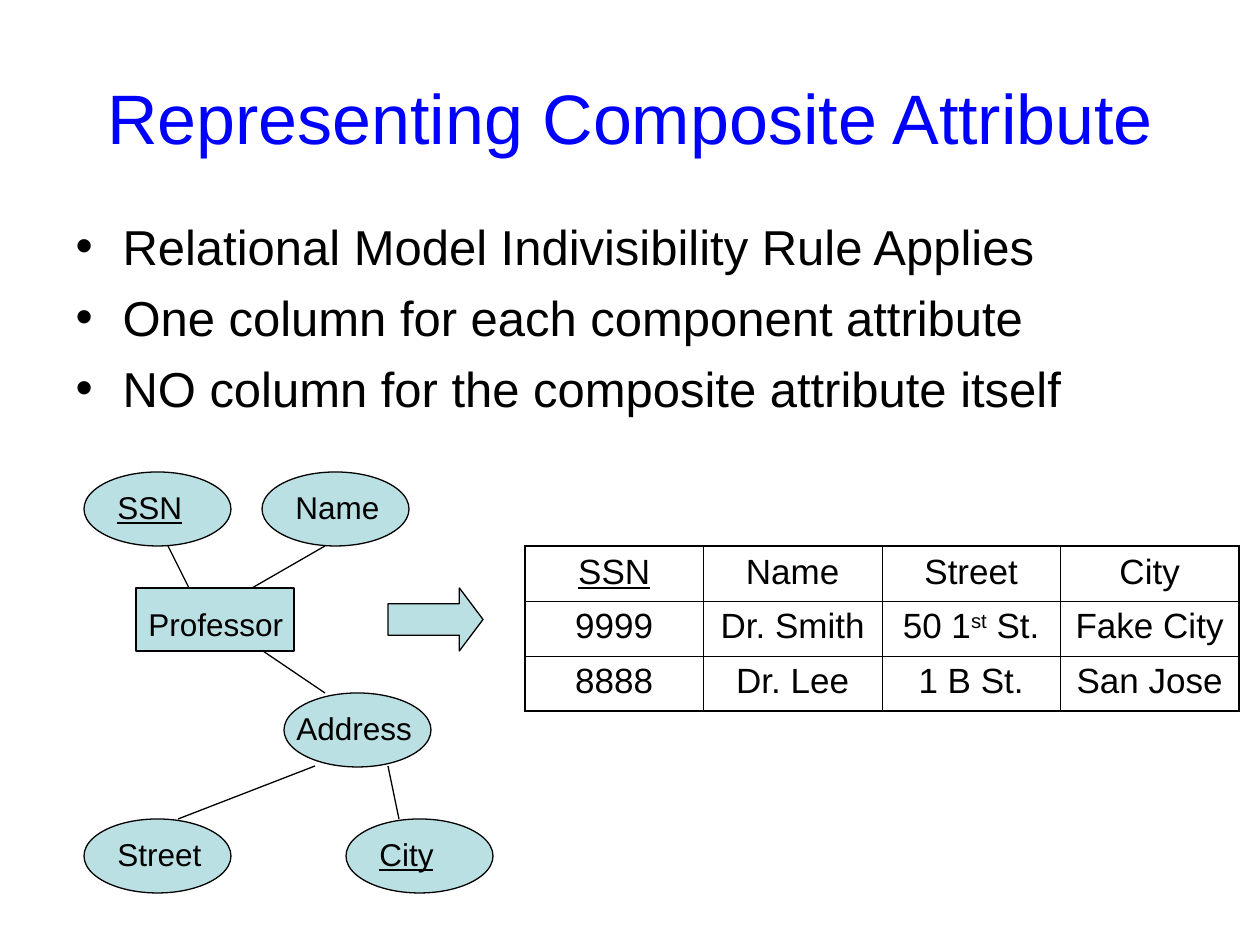
from lxml import etree
from pptx import Presentation
from pptx import util as u
from pptx.dml.color import RGBColor
from pptx.enum import shapes, text
from pptx.oxml import ns

BLACK = RGBColor(0, 0, 0)
BLUE = RGBColor(0, 0, 255)
TEAL = RGBColor(0xBB, 0xE0, 0xE3)
WHITE = RGBColor(255, 255, 255)
FONT = "Arial"
SCALE = 914400 / 126
THICK, THIN = 13716, 5715


def px(n):
    return u.Emu(round(n * SCALE))


def place(item, box):
    item.left, item.top, item.width, item.height = map(px, box)


def style(para, size, color=BLACK, line=False):
    for run in para.runs:
        font = run.font
        font.name, font.size = FONT, u.Pt(size)
        font.color.rgb = color
        if line:
            font.underline = True


def shape(slide, kind, box):
    item = slide.shapes.add_shape(kind, *map(px, box))
    item.shadow.inherit = False
    item.fill.solid()
    item.fill.fore_color.rgb = TEAL
    item.line.color.rgb = BLACK
    item.line.width = u.Pt(0.75)
    return item


def label(slide, words, box, key=False):
    frame = slide.shapes.add_textbox(*map(px, box)).text_frame
    frame.word_wrap = True
    frame.text = words
    style(frame.paragraphs[0], 18, line=key)


def link(slide, start, end):
    line = slide.shapes.add_connector(
        shapes.MSO_CONNECTOR.STRAIGHT, *map(px, start + end))
    line.line.color.rgb = BLACK
    line.line.width = u.Pt(0.75)
    etree.SubElement(line._element.spPr, ns.qn("a:effectLst"))


def heading(slide, box):
    title = slide.shapes.title
    place(title, box)
    frame = title.text_frame
    frame.text = "Representing Composite Attribute"
    frame.auto_size = text.MSO_AUTO_SIZE.NONE
    frame.vertical_anchor = text.MSO_ANCHOR.MIDDLE
    para = frame.paragraphs[0]
    para.alignment = text.PP_ALIGN.CENTER
    style(para, 40, BLUE)


def rules(slide, box):
    body = slide.placeholders[1]
    place(body, box)
    frame = body.text_frame
    frame.text = "\n".join((
        "Relational Model Indivisibility Rule Applies",
        "One column for each component attribute",
        "NO column for the composite attribute itself",
    ))
    frame.auto_size = text.MSO_AUTO_SIZE.NONE
    for i, para in enumerate(frame.paragraphs):
        props = para._p.get_or_add_pPr()
        props.set("marL", str(px(47)))
        props.set("indent", str(-px(47)))
        para.space_before = u.Pt(7 if i else 0)
        style(para, 28)


def diagram(slide, box):
    left, top = box[:2]
    links = (
        ((84, 74), (105, 116)),
        ((241, 74), (168, 116)),
        ((241, 221), (179, 179)),
        ((231, 294), (94, 347)),
        ((304, 294), (315, 347)),
    )
    for ends in links:
        link(slide, *((left + x, top + y) for x, y in ends))
    shape(slide, shapes.MSO_SHAPE.RECTANGLE, (left + 52, top + 116, 158, 63))
    label(slide, "Professor", (left + 52, top + 127, 168, 50))
    nodes = (
        ("SSN", 0, 0, 21, 105, True),
        ("Name", 178, 0, 21, 116, False),
        ("Address", 200, 221, 0, 147, False),
        ("Street", 0, 347, 21, 116, False),
        ("City", 262, 347, 21, 105, True),
    )
    for name, x, y, shift, width, key in nodes:
        x, y = left + x, top + y
        shape(slide, shapes.MSO_SHAPE.OVAL, (x, y, 147, 74))
        label(slide, name, (x + shift, y + 10, width, 50), key)


def arrow(slide, box):
    item = shape(slide, shapes.MSO_SHAPE.RIGHT_ARROW, box)
    item.adjustments[0] = 0.5
    item.adjustments[1] = 0.375


def border(cell, sides):
    props = cell._tc.get_or_add_tcPr()
    for side, outer in sides:
        line = etree.SubElement(props, ns.qn("a:ln" + side))
        line.set("w", str(THICK if outer else THIN))
        fill = etree.SubElement(line, ns.qn("a:solidFill"))
        etree.SubElement(fill, ns.qn("a:srgbClr")).set("val", str(BLACK))


def table(slide, box):
    rows = (
        ("SSN", "Name", "Street", "City"),
        ("9999", "Dr. Smith", ("50 1", "st", " St."), "Fake City"),
        ("8888", "Dr. Lee", "1 B St.", "San Jose"),
    )
    grid = slide.shapes.add_table(len(rows), len(rows[0]), *map(px, box)).table
    grid.first_row = grid.horz_banding = False
    for r, row in enumerate(rows):
        for c, words in enumerate(row):
            cell = grid.cell(r, c)
            border(cell, (("L", c == 0), ("R", c == len(row) - 1),
                          ("T", r == 0), ("B", r == len(rows) - 1)))
            cell.fill.solid()
            cell.fill.fore_color.rgb = WHITE
            para = cell.text_frame.paragraphs[0]
            para.alignment = text.PP_ALIGN.CENTER
            for part in (words,) if isinstance(words, str) else words:
                run = para.add_run()
                run.text = part
                if part == "st":
                    run._r.get_or_add_rPr().set("baseline", "30000")
            style(para, 20, line=words == "SSN")


def main():
    deck = Presentation()
    deck.slide_width, deck.slide_height = px(1260), px(945)
    slide = deck.slides.add_slide(deck.slide_layouts[1])
    heading(slide, (63, 38, 1134, 158))
    rules(slide, (63, 210, 1134, 242))
    diagram(slide, (84, 472, 409, 421))
    table(slide, (525, 546, 714, 165))
    arrow(slide, (388, 588, 95, 63))
    deck.save("out.pptx")


if __name__ == "__main__":
    main()
